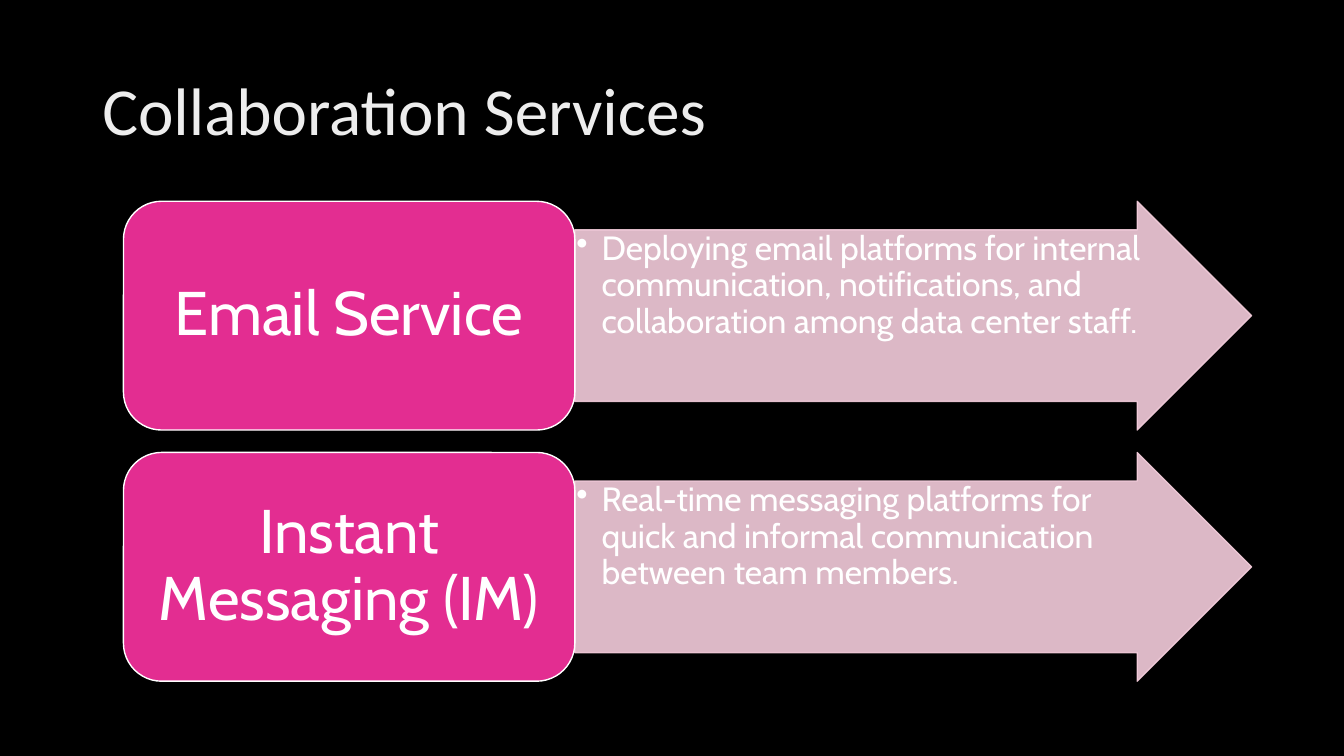
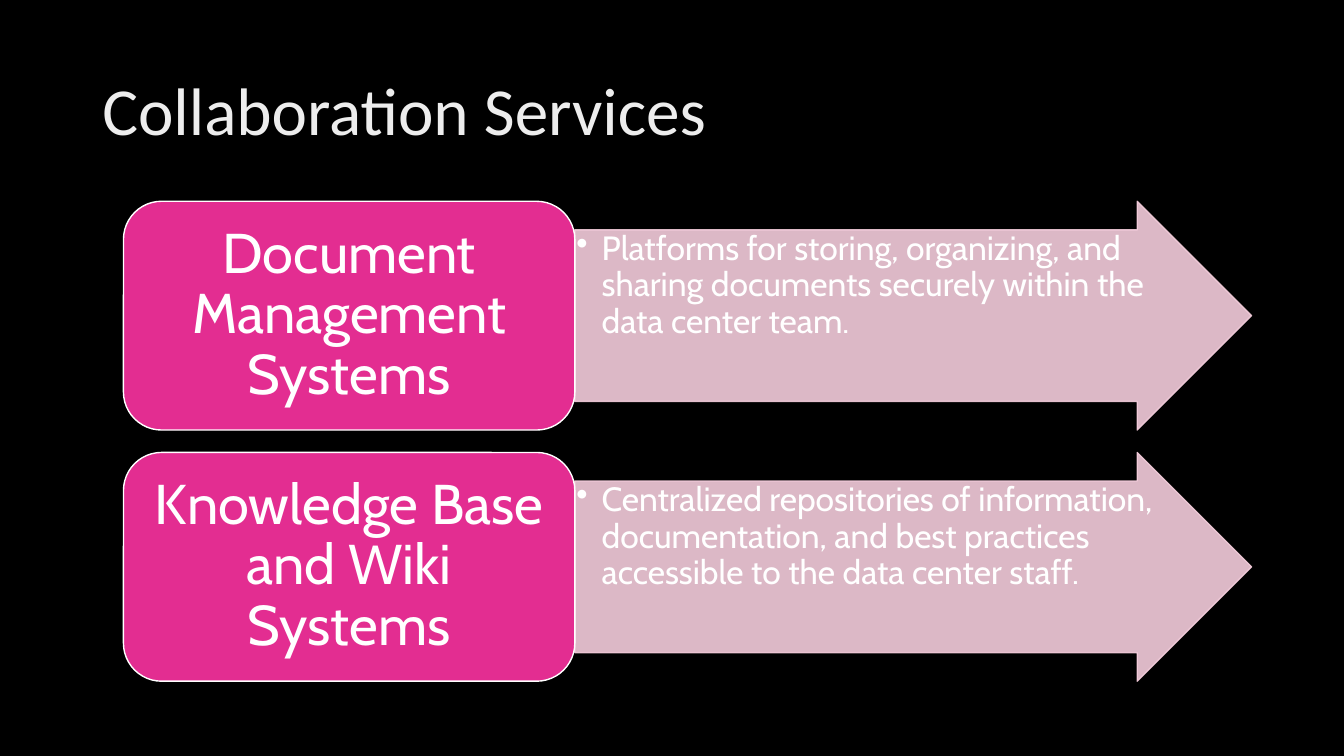
from dataclasses import dataclass
from typing import Any

from lxml import etree
from pptx import Presentation
from pptx.dml.color import RGBColor
from pptx.enum.shapes import MSO_SHAPE
from pptx.enum.text import MSO_ANCHOR, PP_ALIGN
from pptx.oxml.ns import qn
from pptx.util import Pt

ARROW, CARD = MSO_SHAPE.RIGHT_ARROW, MSO_SHAPE.ROUNDED_RECTANGLE
TOP, MID = MSO_ANCHOR.TOP, MSO_ANCHOR.MIDDLE
LEFT, CENTER = PP_ALIGN.LEFT, PP_ALIGN.CENTER
BLANK = 6


# Colours, fonts and type sizes
@dataclass(frozen=True)
class Theme:
    back: RGBColor = RGBColor(0x00, 0x00, 0x00)
    head: RGBColor = RGBColor(0xED, 0xED, 0xED)
    text: RGBColor = RGBColor(0xFF, 0xFF, 0xFF)
    card: RGBColor = RGBColor(0xE3, 0x2D, 0x91)
    arrow: RGBColor = RGBColor(0xF4, 0xCD, 0xDC)
    alpha: int = 90
    head_font: str = "Calibri"
    font: str = "Cabin"
    head_size: float = 48
    body_size: float = 24
    edge: float = 1
    lead: float = 0.9


@dataclass(frozen=True)
class Box:
    x: float
    y: float
    w: float
    h: float

    def pts(self) -> tuple[Pt, ...]:
        return tuple(Pt(v) for v in (self.x, self.y, self.w, self.h))


@dataclass(frozen=True)
class Row:
    label: str
    body: str


@dataclass(frozen=True)
class Page:
    title: str
    size: float
    rows: tuple[Row, ...]


THEME = Theme()

# Layout, in points
WIDE, HIGH = 960, 540
HEAD = Box(66, 28.8, 828, 104.4)
ROW_TOP, ROW_H, ROW_GAP = 143.8, 163.4, 16
CARD_X, SPLIT, TIP = 88.2, 410.6, 894
INDENT = 18

TITLE = "Collaboration Services"
PAGES = (
    Page(TITLE, 44, (
        Row("Email Service",
            "Deploying email platforms for internal communication, "
            "notifications, and collaboration among data center staff."),
        Row("Instant Messaging (IM)",
            "Real-time messaging platforms for quick and informal "
            "communication between team members."),
    )),
    Page(TITLE, 40, (
        Row("Document Management Systems",
            "Platforms for storing, organizing, and sharing documents "
            "securely within the data center team."),
        Row("Knowledge Base and Wiki Systems",
            "Centralized repositories of information, documentation, "
            "and best practices accessible to the data center staff."),
    )),
)


def apply(item: Any, form: dict[str, Any]) -> None:
    for name, value in form.items():
        setattr(item, name, value)


# Text in any shape
def write(shape: Any, text: str, size: float, color: RGBColor, font: str,
          align: Any, anchor: Any, pad: tuple[float, float]) -> Any:
    side, edge = (Pt(v) for v in pad)
    frame = shape.text_frame
    apply(frame, {"word_wrap": True, "vertical_anchor": anchor,
                  "margin_left": side, "margin_right": side,
                  "margin_top": edge, "margin_bottom": edge})
    para = frame.paragraphs[0]
    apply(para, {"text": text, "alignment": align,
                 "line_spacing": THEME.lead})
    run = para.runs[0]
    apply(run.font, {"name": font, "size": Pt(size)})
    run.font.color.rgb = color
    return para


def bullet(para: Any) -> None:
    props = para._p.get_or_add_pPr()
    props.set("marL", str(Pt(INDENT)))
    props.set("indent", str(-Pt(INDENT)))
    etree.SubElement(props, qn("a:buChar")).set("char", "•")


# Shapes
def draw(slide: Any, kind: Any, box: Box, fill: RGBColor,
         line: RGBColor) -> Any:
    shape = slide.shapes.add_shape(kind, *box.pts())
    shape.shadow.inherit = False
    shape.fill.solid()
    shape.fill.fore_color.rgb = fill
    shape.line.color.rgb = line
    shape.line.width = Pt(THEME.edge)
    return shape


def fade(shape: Any, alpha: int) -> None:
    for color in shape._element.spPr.iter(qn("a:srgbClr")):
        etree.SubElement(color, qn("a:alpha")).set("val", str(alpha * 1000))


def add_row(slide: Any, row: Row, y: float, size: float) -> None:
    arrow = draw(slide, ARROW, Box(SPLIT, y, TIP - SPLIT, ROW_H),
                 THEME.arrow, THEME.arrow)
    arrow.adjustments[0], arrow.adjustments[1] = 0.75, 0.5
    fade(arrow, THEME.alpha)
    bullet(write(arrow, row.body, THEME.body_size, THEME.text, THEME.font,
                 LEFT, TOP, (1.2, 1.2)))
    card = draw(slide, CARD, Box(CARD_X, y, SPLIT - CARD_X, ROW_H),
                THEME.card, THEME.text)
    write(card, row.label, size, THEME.text, THEME.font,
          CENTER, MID, (0.3 * size, 0.15 * size))


def add_page(deck: Any, page: Page) -> None:
    slide = deck.slides.add_slide(deck.slide_layouts[BLANK])
    head = slide.shapes.add_textbox(*HEAD.pts())
    write(head, page.title, THEME.head_size, THEME.head, THEME.head_font,
          LEFT, MID, (7.2, 3.6))
    for i, row in enumerate(page.rows):
        add_row(slide, row, ROW_TOP + i * (ROW_H + ROW_GAP), page.size)


def main() -> None:
    deck = Presentation()
    apply(deck, {"slide_width": Pt(WIDE), "slide_height": Pt(HIGH)})
    back = deck.slide_master.background.fill
    back.solid()
    back.fore_color.rgb = THEME.back
    for page in PAGES:
        add_page(deck, page)
    deck.save("out.pptx")


if __name__ == "__main__":
    main()
